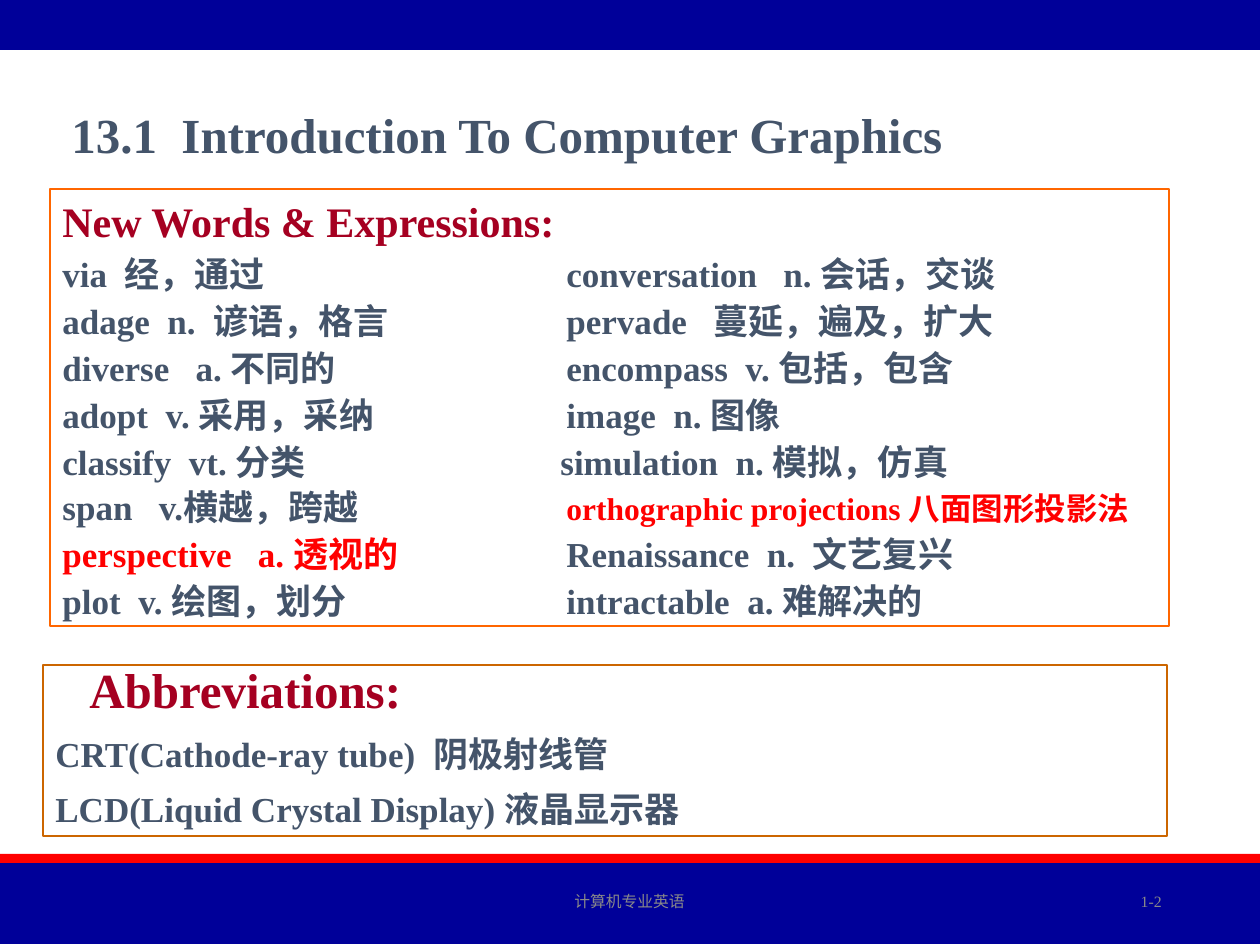
from pptx import Presentation
from pptx.dml.color import RGBColor
from pptx.enum.shapes import MSO_SHAPE
from pptx.enum.text import MSO_ANCHOR, PP_ALIGN
from pptx.oxml.ns import qn
from pptx.util import Emu, Pt
from lxml import etree

PX = 914400 // 126
RECT = MSO_SHAPE.RECTANGLE
TOP, MIDDLE = MSO_ANCHOR.TOP, MSO_ANCHOR.MIDDLE
LEFT, CENTER, RIGHT, JUSTIFY = (PP_ALIGN.LEFT, PP_ALIGN.CENTER,
                                PP_ALIGN.RIGHT, PP_ALIGN.JUSTIFY)
NAVY, RED, CRIMSON, SLATE, GREY = "000099", "FF0000", "A50021", "44546A", "898989"
FONT = "Times New Roman"
SECOND_COLUMN = 504

# Left entry, right entry; the two emphasised ones are coloured below.
WORDS = [
    ("via  经，通过", "conversation   n. 会话，交谈"),
    ("adage  n.  谚语，格言", "pervade   蔓延，遍及，扩大"),
    ("diverse   a. 不同的", "encompass  v. 包括，包含"),
    ("adopt  v. 采用，采纳", "image  n. 图像"),
    ("classify  vt. 分类", "simulation  n. 模拟，仿真"),
    ("span   v.横越，跨越", "orthographic projections 八面图形投影法"),
    ("perspective   a. 透视的", "Renaissance  n.  文艺复兴"),
    ("plot  v. 绘图，划分", "intractable  a. 难解决的"),
]
EMPHASIS = {
    "orthographic projections 八面图形投影法": {"size": 18, "color": RED},
    "perspective   a. 透视的": {"color": RED},
}
COLUMN_SHIFT = {"simulation  n. 模拟，仿真": -6}
ABBREVIATIONS = ["CRT(Cathode-ray tube)  阴极射线管",
                 "LCD(Liquid Crystal Display) 液晶显示器"]


def rgb(value):
    return RGBColor.from_string(value)


def px_box(box):
    return [Emu(length * PX) for length in box]


def add_band(slide, box, color):
    band = slide.shapes.add_shape(RECT, *px_box(box))
    band.shadow.inherit = False
    band.fill.solid()
    band.fill.fore_color.rgb = rgb(color)
    band.line.fill.background()


def add_frame(slide, box, color):
    """Add an unfilled outlined rectangle and return its text frame."""
    frame = slide.shapes.add_shape(RECT, *px_box(box))
    frame.shadow.inherit = False
    frame.fill.background()
    frame.line.color.rgb = rgb(color)
    frame.line.width = Pt(0.75)
    frame.text_frame.word_wrap = True
    frame.text_frame.vertical_anchor = TOP
    return frame.text_frame


def add_run(paragraph, text, size=20, color=SLATE, bold=True):
    run = paragraph.add_run()
    run.text = text
    run.font.color.rgb = rgb(color)
    for name, value in {"name": FONT, "size": Pt(size), "bold": bold}.items():
        setattr(run.font, name, value)


def format_paragraph(paragraph, **formats):
    for name, value in formats.items():
        setattr(paragraph, name, value)


def add_tab_stop(paragraph, position):
    tabs = etree.SubElement(paragraph._p.get_or_add_pPr(), qn("a:tabLst"))
    etree.SubElement(tabs, qn("a:tab"), pos=str(position * PX), algn="l")


def add_label(slide, box, text, align=LEFT, anchor=TOP, **style):
    label = slide.shapes.add_textbox(*px_box(box)).text_frame
    label.word_wrap = True
    label.vertical_anchor = anchor
    label.paragraphs[0].alignment = align
    add_run(label.paragraphs[0], text, **style)


def add_vocabulary(slide, box):
    vocabulary = add_frame(slide, box, "FF6600")
    heading = vocabulary.paragraphs[0]
    heading.alignment = JUSTIFY
    add_run(heading, "New Words & Expressions:", size=24, color=CRIMSON)
    for left_word, right_word in WORDS:
        entry = vocabulary.add_paragraph()
        before = 11.2 if left_word.startswith("span") else 12.5
        format_paragraph(entry, alignment=JUSTIFY, line_spacing=0.6,
                         space_before=Pt(before))
        add_tab_stop(entry, SECOND_COLUMN + COLUMN_SHIFT.get(right_word, 0))
        add_run(entry, left_word + "\t", **EMPHASIS.get(left_word, {}))
        add_run(entry, right_word, **EMPHASIS.get(right_word, {}))


def add_abbreviations(slide, box):
    abbreviations = add_frame(slide, box, "CC6600")
    heading = abbreviations.paragraphs[0]
    format_paragraph(heading, alignment=LEFT, line_spacing=0.8)
    heading._p.get_or_add_pPr().set("indent", str(34 * PX))
    add_run(heading, "Abbreviations:", size=28, color=CRIMSON)
    for text in ABBREVIATIONS:
        entry = abbreviations.add_paragraph()
        format_paragraph(entry, alignment=LEFT, line_spacing=0.8,
                         space_before=Pt(12.5))
        add_run(entry, text)


def add_footer(slide, box):
    left, top, width, height = box
    add_band(slide, (left, top, width, 9), RED)
    add_band(slide, (left, top + 9, width, height - 9), NAVY)
    small = {"anchor": MIDDLE, "size": 9, "color": GREY, "bold": False}
    add_label(slide, (left + 417, top + 22, 425, 50), "计算机专业英语", CENTER, **small)
    add_label(slide, (left + 890, top + 22, 284, 50), "1-2", RIGHT, **small)


def main():
    deck = Presentation()
    deck.slide_width, deck.slide_height = px_box((1260, 945))
    slide = deck.slides.add_slide(deck.slide_layouts[6])
    add_band(slide, (0, 0, 1260, 50), NAVY)
    add_footer(slide, (0, 854, 1260, 90))
    add_vocabulary(slide, (50, 189, 1119, 437))
    add_label(slide, (59, 98, 1081, 72), "13.1  Introduction To Computer Graphics",
              size=28)
    add_abbreviations(slide, (43, 665, 1124, 171))
    deck.save("out.pptx")


if __name__ == "__main__":
    main()
